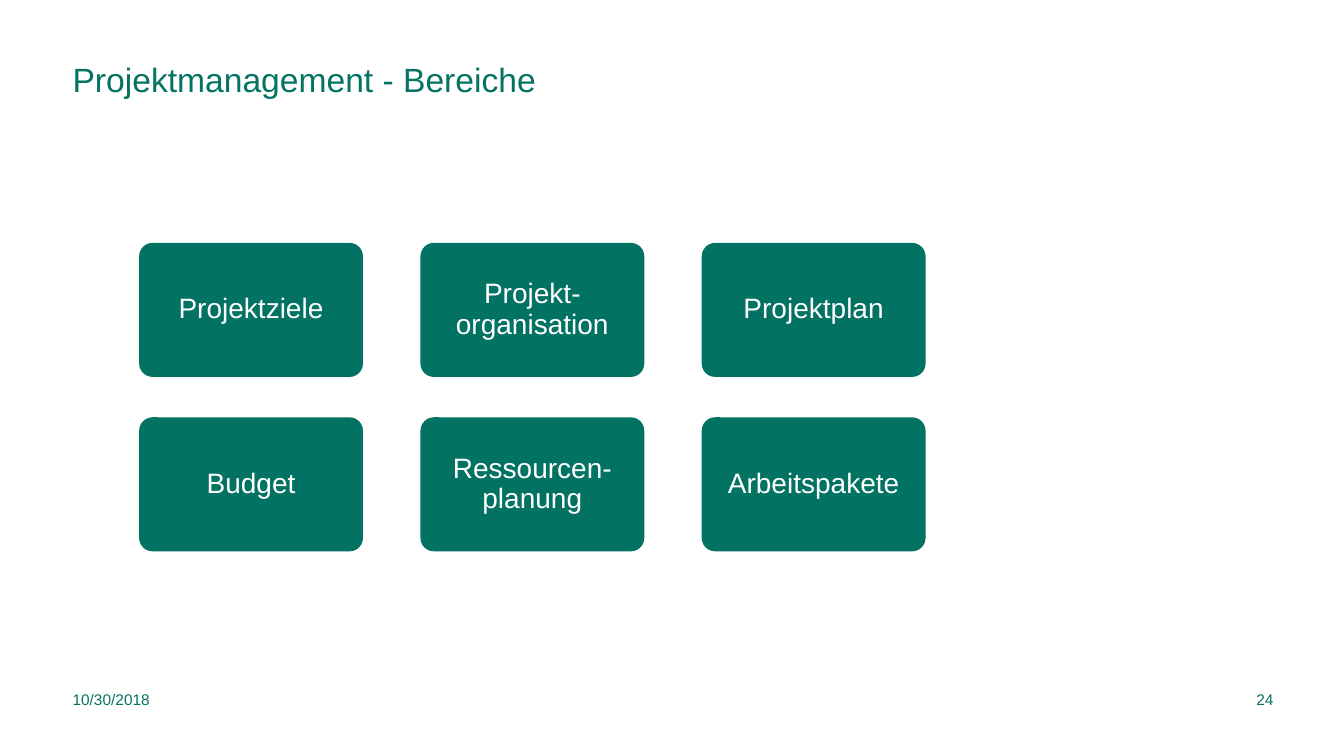
from dataclasses import dataclass

from pptx import Presentation
from pptx.dml.color import RGBColor
from pptx.enum.shapes import MSO_SHAPE
from pptx.enum.text import MSO_ANCHOR, PP_ALIGN
from pptx.slide import Slide
from pptx.text.text import TextFrame
from pptx.util import Inches, Pt

TEAL_TEXT = RGBColor(0x04, 0x73, 0x64)
TEAL_FILL = RGBColor(0x02, 0x72, 0x62)
WHITE = RGBColor(0xFF, 0xFF, 0xFF)

ROUNDED = MSO_SHAPE.ROUNDED_RECTANGLE
TOP, MIDDLE = MSO_ANCHOR.TOP, MSO_ANCHOR.MIDDLE
LEFT, CENTER, RIGHT = PP_ALIGN.LEFT, PP_ALIGN.CENTER, PP_ALIGN.RIGHT

AREAS = [
    "Projektziele", "Projekt-organisation", "Projektplan",
    "Budget", "Ressourcen-planung", "Arbeitspakete",
]
COLUMNS = 3
GRID_LEFT, GRID_TOP = 1.38, 2.41
COLUMN_STEP, ROW_STEP = 2.79, 1.73
CARD_WIDTH, CARD_HEIGHT = 2.22, 1.33


@dataclass(frozen=True)
class TextStyle:
    size: int
    color: RGBColor
    align: PP_ALIGN = LEFT
    anchor: MSO_ANCHOR = MIDDLE
    line_spacing: float = 1.0
    inset: float = 0.0
    bottom_inset: float = 0.0


@dataclass(frozen=True)
class Label:
    text: str
    left: float
    top: float
    width: float
    height: float
    style: TextStyle


CARD_STYLE = TextStyle(20, WHITE, CENTER, line_spacing=0.9, inset=0.1, bottom_inset=0.1)
TITLE_STYLE = TextStyle(24, TEAL_TEXT, anchor=TOP, line_spacing=0.9, bottom_inset=0.04)

LABELS = [
    Label("Projektmanagement - Bereiche", 0.72, 0.63, 8.46, 0.98, TITLE_STYLE),
    Label("10/30/2018", 0.72, 6.77, 1.97, 0.33, TextStyle(11, TEAL_TEXT)),
    Label("24", 12.04, 6.77, 0.59, 0.33, TextStyle(11, TEAL_TEXT, RIGHT)),
]


def write_text(frame: TextFrame, text: str, style: TextStyle) -> None:
    frame.text = text
    paragraph = frame.paragraphs[0]
    font = paragraph.runs[0].font
    inset = Inches(style.inset)
    formats = {
        frame: {
            "word_wrap": True,
            "vertical_anchor": style.anchor,
            "margin_left": inset,
            "margin_top": inset,
            "margin_right": inset,
            "margin_bottom": Inches(style.bottom_inset),
        },
        paragraph: {"alignment": style.align, "line_spacing": style.line_spacing},
        font: {"name": "Arial", "size": Pt(style.size)},
    }
    for target, values in formats.items():
        for attribute, value in values.items():
            setattr(target, attribute, value)
    font.color.rgb = style.color


def add_label(slide: Slide, label: Label) -> None:
    box = slide.shapes.add_textbox(
        Inches(label.left), Inches(label.top), Inches(label.width), Inches(label.height)
    )
    write_text(box.text_frame, label.text, label.style)


def add_area_card(slide: Slide, index: int, area: str) -> None:
    row, column = divmod(index, COLUMNS)
    card = slide.shapes.add_shape(
        ROUNDED,
        Inches(GRID_LEFT + column * COLUMN_STEP),
        Inches(GRID_TOP + row * ROW_STEP),
        Inches(CARD_WIDTH),
        Inches(CARD_HEIGHT),
    )
    card.adjustments[0] = 0.1
    card.shadow.inherit = False
    card.fill.solid()
    card.fill.fore_color.rgb = TEAL_FILL
    card.line.fill.background()
    write_text(card.text_frame, area, CARD_STYLE)


def main() -> None:
    presentation = Presentation()
    presentation.slide_width = Inches(13.33)
    presentation.slide_height = Inches(7.5)
    slide = presentation.slides.add_slide(presentation.slide_layouts[6])
    for label in LABELS:
        add_label(slide, label)
    for index, area in enumerate(AREAS):
        add_area_card(slide, index, area)
    presentation.save("out.pptx")


if __name__ == "__main__":
    main()
